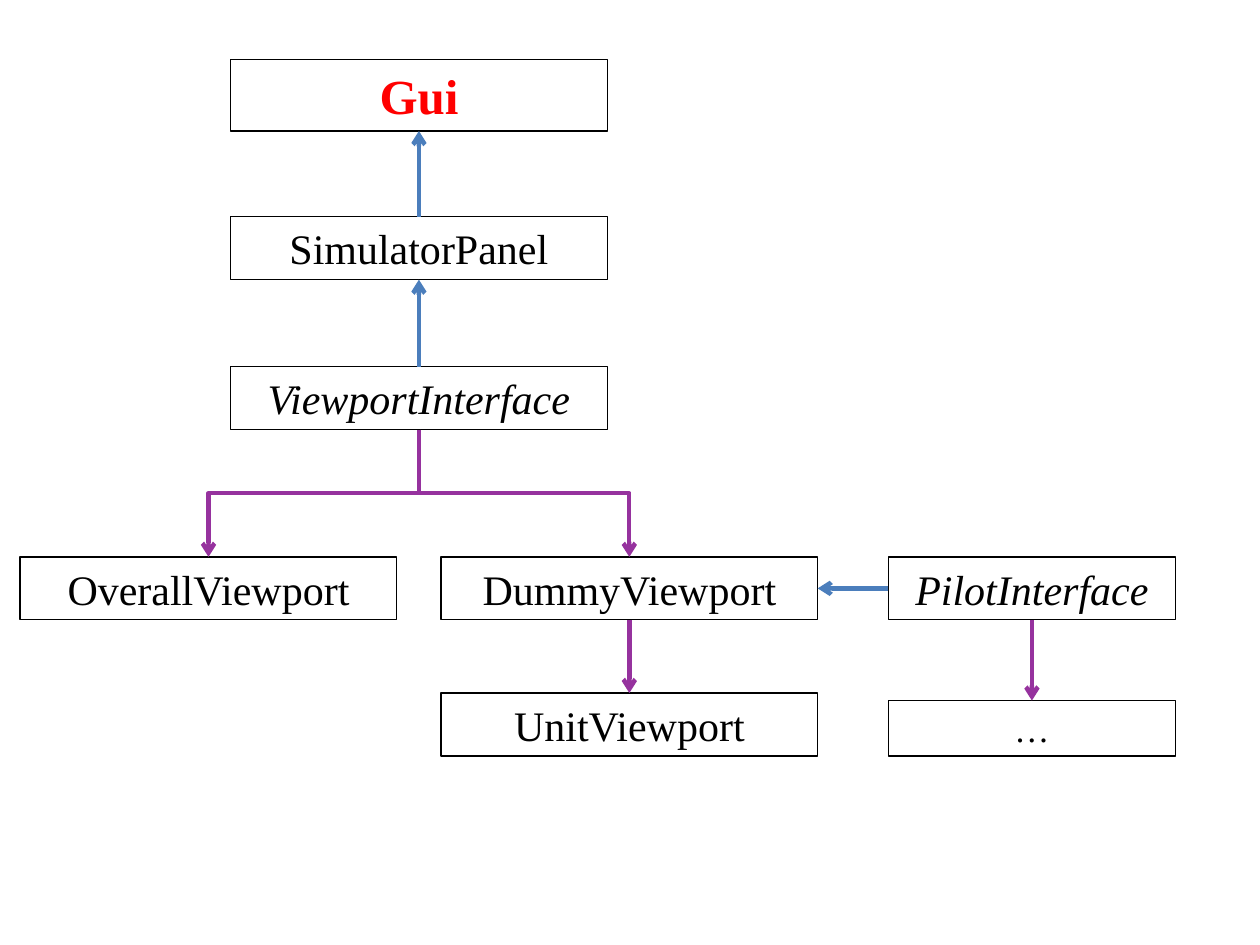
from pptx import Presentation
from pptx.dml.color import RGBColor
from pptx.enum.shapes import MSO_CONNECTOR as Link, MSO_SHAPE as Shape
from pptx.enum.text import MSO_ANCHOR as Anchor, PP_ALIGN as Align
from pptx.oxml.ns import qn
from pptx.util import Inches, Pt
from lxml.etree import SubElement

BLACK = RGBColor(0x00, 0x00, 0x00)
RED = RGBColor(0xFF, 0x00, 0x00)
BLUE = RGBColor(0x4B, 0x7E, 0xBC)
PURPLE = RGBColor(0x96, 0x32, 0x9E)
TOP, LEFT, BOTTOM, RIGHT = range(4)

deck = Presentation()
deck.slide_width, deck.slide_height = Inches(10), Inches(7.5)
slide = deck.slides.add_slide(deck.slide_layouts[6])

# Column centres and row bottoms; every box stands on its row line
column_step = 1.67
columns = [1.655 + column_step * i for i in range(3)] + [8.19]
rows = [1.04, 2.22, 3.41, 4.92, 6.0]
wide, narrow = 2.99, 2.28


def add_class_box(label, column, row, width=wide, height=0.5, **format_values):
    """Draw one class box with its centred name."""
    box = slide.shapes.add_shape(
        Shape.RECTANGLE, Inches(columns[column] - width / 2),
        Inches(rows[row] - height), Inches(width), Inches(height))
    box.shadow.inherit = False
    box.fill.background()
    box.line.color.rgb = BLACK
    box.line.width = Pt(0.75)
    frame = box.text_frame
    frame.vertical_anchor = Anchor.MIDDLE
    paragraph = frame.paragraphs[0]
    paragraph.alignment = Align.CENTER
    run = paragraph.add_run()
    run.text = label
    run.font.color.rgb = format_values.pop("color", BLACK)
    values = {"name": "Times New Roman", "size": Pt(24), **format_values}
    for attribute, value in values.items():
        setattr(run.font, attribute, value)
    return box


def add_arrow(source, source_site, target, target_site, color, kind=Link.STRAIGHT):
    """Connect two boxes with an open arrowhead at the target."""
    arrow = slide.shapes.add_connector(kind, 0, 0, 0, 0)
    arrow.begin_connect(source, source_site)
    arrow.end_connect(target, target_site)
    arrow.line.color.rgb = color
    arrow.line.width = Pt(2.5)
    SubElement(arrow.line._get_or_add_ln(), qn("a:tailEnd"), type="arrow")
    SubElement(arrow._element.spPr, qn("a:effectLst"))
    return arrow


gui = add_class_box("Gui", 1, 0, height=0.57, size=Pt(28), bold=True, color=RED)
panel = add_class_box("SimulatorPanel", 1, 1)
viewport = add_class_box("ViewportInterface", 1, 2, italic=True)
overall = add_class_box("OverallViewport", 0, 3)
dummy = add_class_box("DummyViewport", 2, 3)
pilot = add_class_box("PilotInterface", 3, 3, width=narrow, italic=True)
unit = add_class_box("UnitViewport", 2, 4)
other_pilots = add_class_box("…", 3, 4, width=narrow, height=0.44, size=Pt(20))

for source, source_site, target, target_site, color in [
    (panel, TOP, gui, BOTTOM, BLUE),
    (viewport, TOP, panel, BOTTOM, BLUE),
    (pilot, LEFT, dummy, RIGHT, BLUE),
    (dummy, BOTTOM, unit, TOP, PURPLE),
    (pilot, BOTTOM, other_pilots, TOP, PURPLE),
]:
    add_arrow(source, source_site, target, target_site, color)

# The branches leave downwards, so each elbow is turned a quarter about its centre
for child, quarter_turns, flip in [(dummy, 3, "1"), (overall, 1, "0")]:
    branch = add_arrow(viewport, BOTTOM, child, TOP, PURPLE, Link.ELBOW)
    span, drop = branch.width, branch.height
    branch.left += (span - drop) // 2
    branch.top += (drop - span) // 2
    branch.width, branch.height = drop, span
    frame_values = {"rot": str(quarter_turns * 90 * 60000), "flipH": flip, "flipV": "0"}
    for attribute, value in frame_values.items():
        branch._element.spPr.find(qn("a:xfrm")).set(attribute, value)

deck.save("out.pptx")
